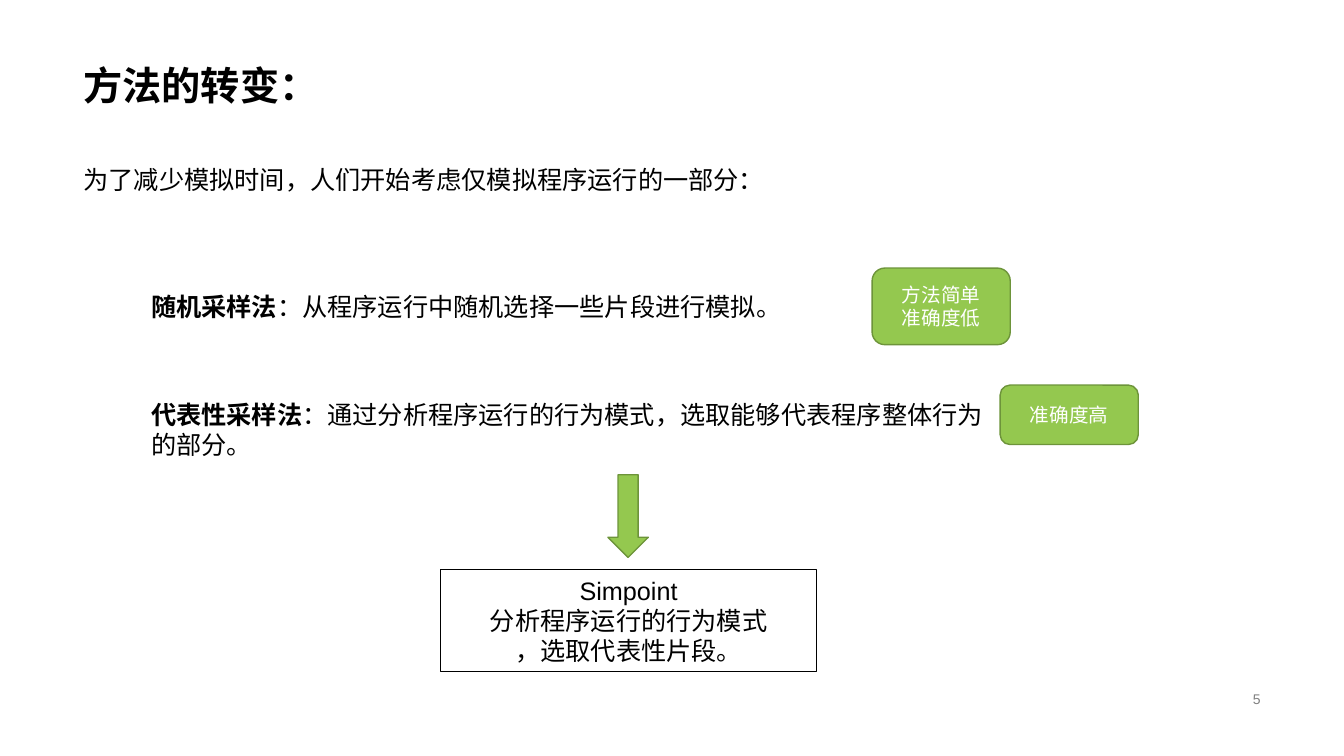
"""Build the slide on moving from random to representative sampling."""
from pptx import Presentation
from pptx.dml.color import RGBColor
from pptx.enum import shapes, text
from pptx.util import Inches, Pt

BLACK, WHITE, GREY = "000000", "FFFFFF", "808080"
GREEN, DARK_GREEN = "94C84F", "6D943A"
LEFT, CENTER, RIGHT = text.PP_ALIGN.LEFT, text.PP_ALIGN.CENTER, text.PP_ALIGN.RIGHT
TOP, MIDDLE, BOTTOM = text.MSO_ANCHOR.TOP, text.MSO_ANCHOR.MIDDLE, text.MSO_ANCHOR.BOTTOM
PRESET = shapes.MSO_SHAPE


def color(code):
    return RGBColor.from_string(code)


def write(box, paragraphs, size, ink=BLACK, align=LEFT, anchor=TOP):
    """Fill a box with paragraphs, each a list of (words, bold) runs."""
    frame = box.text_frame
    frame.word_wrap = True
    frame.vertical_anchor = anchor
    for index, spans in enumerate(paragraphs):
        para = frame.add_paragraph() if index else frame.paragraphs[0]
        para.alignment = align
        for words, bold in spans:
            span = para.add_run()
            span.text = words
            span.font.name = "Arial"
            span.font.size = Pt(size)
            span.font.bold = bold
            span.font.color.rgb = color(ink)


deck = Presentation()
deck.slide_width, deck.slide_height = Inches(13.33), Inches(7.5)
page = deck.slides.add_slide(deck.slide_layouts[6])

title = page.shapes.add_textbox(Inches(0.73), Inches(0.45), Inches(11.87), Inches(0.68))
write(title, [[("方法的转变：", True)]], 28, anchor=BOTTOM)
title.text_frame.paragraphs[0].line_spacing = 0.9

passages = [
    (0.73, 1.58, 10.38, 0.4, [("为了减少模拟时间，人们开始考虑仅模拟程序运行的一部分：", False)]),
    (1.4, 2.84, 6.35, 0.4, [("随机采样法", True),
                            ("：从程序运行中随机选择一些片段进行模拟。", False)]),
    (1.4, 3.91, 8.53, 0.71, [("代表性采样法", True),
                             ("：通过分析程序运行的行为模式，选取能够代表程序整体行为的部分。", False)]),
]
for left, top, width, height, spans in passages:
    passage = page.shapes.add_textbox(Inches(left), Inches(top), Inches(width), Inches(height))
    write(passage, [spans], 18)

figures = [
    (PRESET.ROUNDED_RECTANGLE, 8.65, 2.66, 1.37, 0.76, GREEN, DARK_GREEN,
     ["方法简单", "准确度低"], 14, WHITE),
    (PRESET.ROUNDED_RECTANGLE, 9.92, 3.82, 1.37, 0.59, GREEN, DARK_GREEN,
     ["准确度高"], 14, WHITE),
    (PRESET.DOWN_ARROW, 6.03, 4.71, 0.4, 0.82, GREEN, DARK_GREEN, [], 14, WHITE),
    (PRESET.RECTANGLE, 4.37, 5.65, 3.73, 1.01, WHITE, BLACK,
     ["Simpoint", "分析程序运行的行为模式", "，选取代表性片段。"], 18, BLACK),
]
for preset, left, top, width, height, fill, line, rows, size, ink in figures:
    figure = page.shapes.add_shape(preset, Inches(left), Inches(top), Inches(width), Inches(height))
    figure.shadow.inherit = False
    figure.fill.solid()
    figure.fill.fore_color.rgb = color(fill)
    figure.line.color.rgb = color(line)
    figure.line.width = Pt(1)
    write(figure, [[(row, False)] for row in rows], size, ink, CENTER, MIDDLE)

page_number = page.shapes.add_textbox(Inches(9.42), Inches(6.82), Inches(3.18), Inches(0.23))
write(page_number, [[("5", False)]], 10, GREY, RIGHT, MIDDLE)

deck.save("out.pptx")
